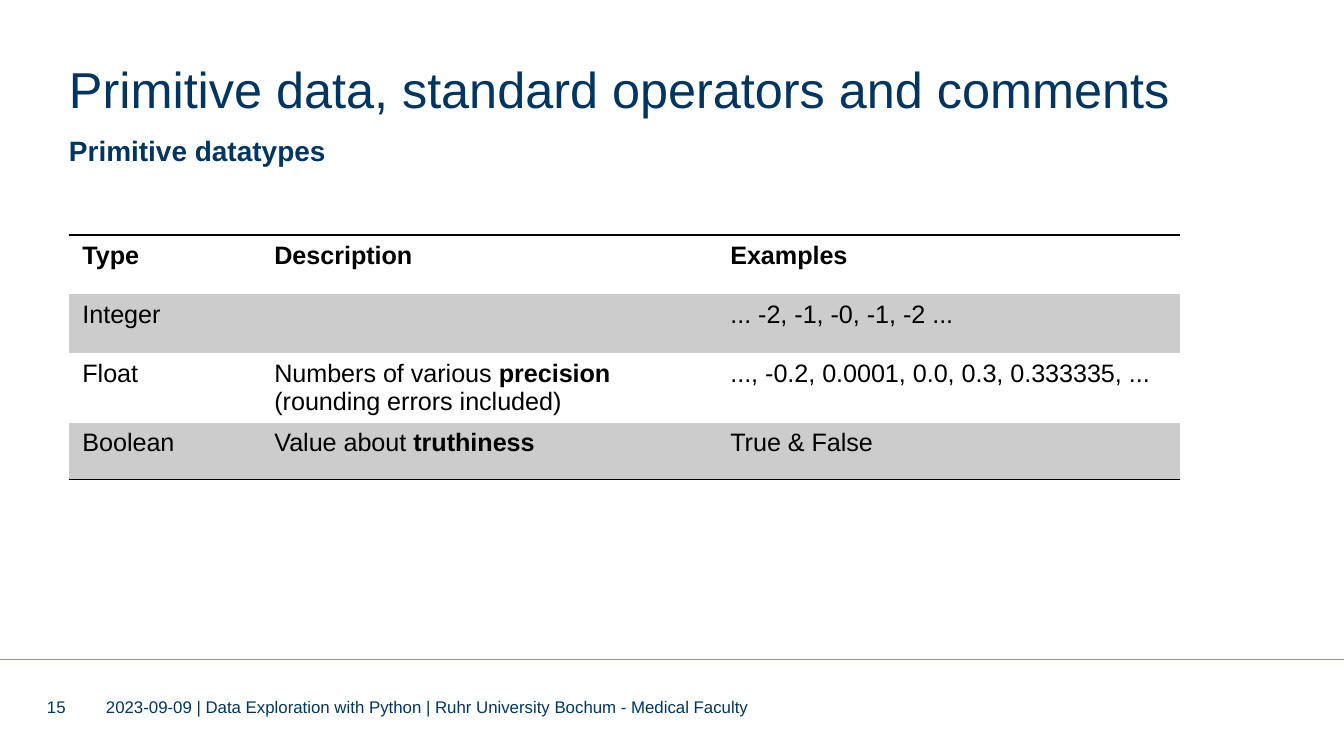
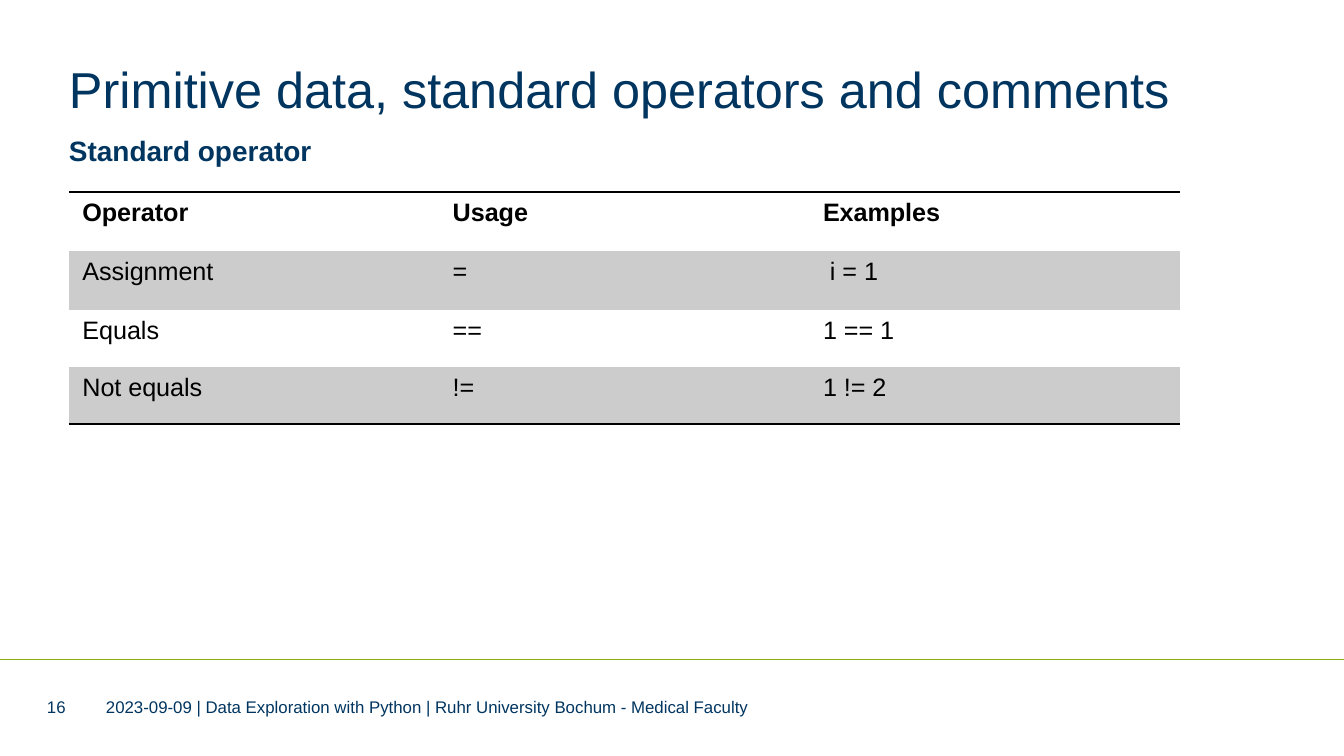
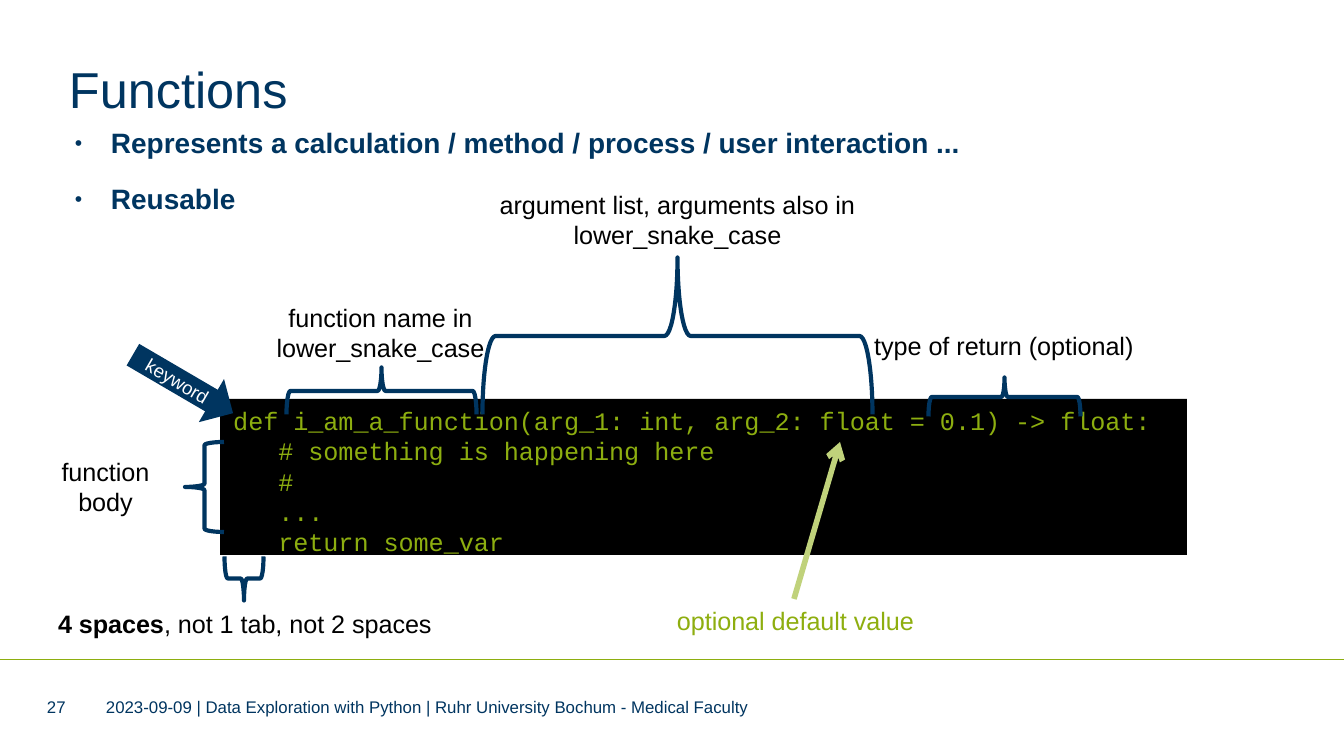
"""Build three lecture slides on Python data types, operators and functions."""
from lxml.etree import SubElement
from pptx import Presentation
from pptx.dml.color import RGBColor
from pptx.enum.shapes import MSO_CONNECTOR, MSO_SHAPE
from pptx.enum.text import MSO_ANCHOR, MSO_AUTO_SIZE, PP_ALIGN
from pptx.oxml.ns import qn
from pptx.util import Emu, Pt

NAVY = RGBColor(0x00, 0x35, 0x60)
GREEN = RGBColor(0x8D, 0xAE, 0x10)
PALE_GREEN = RGBColor(0xC0, 0xD2, 0x7B)
LABEL_GREEN = RGBColor(0x8E, 0xAE, 0x0F)
BLACK = RGBColor(0x00, 0x00, 0x00)
WHITE = RGBColor(0xFF, 0xFF, 0xFF)
GREY = RGBColor(0xCC, 0xCC, 0xCC)

EMU_PER_PX = 914400 / 134.4
LEFT, CONTENT_WIDTH = 69, 1111
ROW_HEIGHTS = (59, 59, 57, 57)
BULLET_INDENT = 36
NO_GRID_STYLE = "{2D5ABB26-0587-4C30-8999-92F81FD0307C}"
TOPIC = "Primitive data, standard operators and comments"
FOOTER = "2023-09-09 | Data Exploration with Python | Ruhr University Bochum - Medical Faculty"


def px(*lengths):
    return [Emu(round(length * EMU_PER_PX)) for length in lengths]


class SlideBuilder:
    def __init__(self):
        self.deck = Presentation()
        self.deck.slide_width, self.deck.slide_height = px(1344, 756)
        self.slide = None

    def add_text(self, frame, lines, size, colour, bold=False, align=PP_ALIGN.LEFT, font="Arial"):
        """Add one paragraph per line; text between ** marks is bold."""
        frame.word_wrap = True
        for index, line in enumerate(lines):
            para = frame.paragraphs[0] if index == 0 else frame.add_paragraph()
            para.alignment = align
            for position, text in enumerate(line.split("**")):
                if text:
                    span = para.add_run()
                    span.text = text
                    span.font.name = font
                    span.font.size = Pt(size)
                    span.font.bold = bold or position % 2 == 1
                    span.font.color.rgb = colour

    def remove_margins(self, frame, anchor):
        frame.margin_left = frame.margin_top = frame.margin_right = frame.margin_bottom = 0
        frame.vertical_anchor = anchor
        frame.auto_size = MSO_AUTO_SIZE.NONE

    def placeholder(self, holder, place, lines, size, bold=False):
        holder.left, holder.top, holder.width, holder.height = px(*place)
        self.remove_margins(holder.text_frame, MSO_ANCHOR.TOP)
        self.add_text(holder.text_frame, lines, size, NAVY, bold)
        return holder.text_frame.paragraphs

    def page(self, title, number):
        self.slide = self.deck.slides.add_slide(self.deck.slide_layouts[1])
        self.line((0, 660), (1344, 660), GREEN, 0.5)
        self.placeholder(self.slide.shapes.title, (LEFT, 58, CONTENT_WIDTH, 69), [title], 27)
        for left, width, text in ((106, 862, FOOTER), (47, 38, str(number))):
            box = self.slide.shapes.add_textbox(*px(left, 699, width, 16))
            self.remove_margins(box.text_frame, MSO_ANCHOR.MIDDLE)
            self.add_text(box.text_frame, [text], 9, NAVY)

    def body(self, left, top, lines, bulleted=False):
        place = (left, top, CONTENT_WIDTH, 495)
        indent = px(BULLET_INDENT)[0] if bulleted else 0
        for para in self.placeholder(self.slide.placeholders[1], place, lines, 15, bold=True):
            properties = para._p.get_or_add_pPr()
            properties.set("marL", str(indent))
            properties.set("indent", str(-indent))
            if bulleted:
                SubElement(properties, qn("a:buSzPct"), val="75000")
                SubElement(properties, qn("a:buChar"), char="•")
            else:
                SubElement(properties, qn("a:buNone"))
            para.line_spacing = Pt(18)
            para.space_before = Pt(0)
            para.space_after = Pt(12)

    def line(self, start, end, colour, width, arrow=False):
        line = self.slide.shapes.add_connector(MSO_CONNECTOR.STRAIGHT, *px(*start, *end))
        line.line.color.rgb = colour
        line.line.width = Pt(width)
        if arrow:
            SubElement(line.line._get_or_add_ln(), qn("a:tailEnd"), type="arrow")
        SubElement(line._element.spPr, qn("a:effectLst"))

    def shape(self, kind, place, fill=None, rotation=0):
        shape = self.slide.shapes.add_shape(kind, *px(*place))
        shape.rotation = rotation
        shape.shadow.inherit = False
        if fill is None:
            shape.fill.background()
            shape.line.color.rgb = NAVY
            shape.line.width = Pt(2.25)
        else:
            shape.fill.solid()
            shape.fill.fore_color.rgb = fill
            shape.line.fill.background()
        return shape

    def brace(self, place, rotation=0):
        self.shape(MSO_SHAPE.LEFT_BRACE, place, rotation=rotation)

    def label(self, place, text, colour=BLACK):
        box = self.slide.shapes.add_textbox(*px(*place))
        self.add_text(box.text_frame, [text], 13.5, colour, align=PP_ALIGN.CENTER)
        box.text_frame.auto_size = MSO_AUTO_SIZE.SHAPE_TO_FIT_TEXT

    def border(self, cell, side):
        edge = SubElement(cell._tc.get_or_add_tcPr(), qn(side), w=str(int(Pt(1))))
        SubElement(SubElement(edge, qn("a:solidFill")), qn("a:srgbClr"), val=str(BLACK))

    def table(self, top, height, widths, rows):
        place = px(LEFT, top, CONTENT_WIDTH, height)
        frame = self.slide.shapes.add_table(len(rows), len(widths), *place)
        table = frame.table
        table.first_row = table.horz_banding = False
        table._tbl.tblPr.find(qn("a:tableStyleId")).text = NO_GRID_STYLE
        for column, width in zip(table.columns, px(*widths)):
            column.width = width
        for row, row_height in zip(table.rows, px(*ROW_HEIGHTS)):
            row.height = row_height
        frame.height = place[3]
        for row_index, texts in enumerate(rows):
            for column_index, text in enumerate(texts):
                cell = table.cell(row_index, column_index)
                if row_index == 0:
                    self.border(cell, "a:lnT")
                if row_index == len(rows) - 1:
                    self.border(cell, "a:lnB")
                cell.fill.solid()
                cell.fill.fore_color.rgb = GREY if row_index % 2 else WHITE
                self.add_text(cell.text_frame, [text], 13.5, BLACK, bold=row_index == 0)


def datatypes_page(builder):
    builder.page(TOPIC, 15)
    builder.body(LEFT, 134, ["Primitive datatypes"])
    builder.table(235, 249, (192, 456, 463), (
        ("Type", "Description", "Examples"),
        ("Integer", "", "... -2, -1, -0, -1, -2 ..."),
        ("Float", "Numbers of various **precision **(rounding errors included)",
         "..., -0.2, 0.0001, 0.0, 0.3, 0.333335, ..."),
        ("Boolean", "Value about **truthiness**", "True & False"),
    ))


def operators_page(builder):
    builder.page(TOPIC, 16)
    builder.body(LEFT, 134, ["Standard operator"])
    builder.table(192, 232, [CONTENT_WIDTH / 3] * 3, (
        ("Operator", "Usage", "Examples"),
        ("Assignment", "=", " i = 1"),
        ("Equals", "==", "1 == 1"),
        ("Not equals", "!=", "1 != 2"),
    ))


def functions_page(builder):
    builder.page("Functions", 27)
    builder.body(75, 126, [
        "Represents a calculation / method / process / user interaction ...",
        "Reusable",
    ], bulleted=True)

    code = builder.shape(MSO_SHAPE.RECTANGLE, (220, 399, 967, 156), BLACK)
    code.text_frame.vertical_anchor = MSO_ANCHOR.TOP
    builder.add_text(code.text_frame, [
        "def i_am_a_function(arg_1: int, arg_2: float = 0.1) -> float:",
        "   # something is happening here",
        "   #",
        "   ...",
        "   return some_var",
    ], 13.5, GREEN, font="Courier New")

    keyword = builder.shape(MSO_SHAPE.RIGHT_ARROW, (125, 359, 116, 50), NAVY, 30.3)
    builder.add_text(keyword.text_frame, ["keyword"], 10, WHITE, align=PP_ALIGN.CENTER)

    builder.brace((358, 296, 47, 190), 90)
    builder.label((224, 296, 313, 74), "function name in lower_snake_case")
    builder.brace((599, 141, 157, 390), 90)
    builder.label((421, 183, 513, 74), "argument list, arguments also in lower_snake_case")
    builder.label((847, 324, 314, 44), "type of return (optional)")
    builder.brace((985, 321, 39, 152), 90)
    builder.brace((185, 442, 39, 90))
    builder.label((31, 450, 149, 74), "function body")
    builder.line((794, 599), (840, 442), PALE_GREEN, 3, arrow=True)
    builder.label((538, 599, 515, 44), "optional default value", LABEL_GREEN)
    builder.brace((222, 559, 44, 39), 270)
    builder.label((38, 602, 414, 44), "**4 spaces**, not 1 tab, not 2 spaces")


def main():
    builder = SlideBuilder()
    datatypes_page(builder)
    operators_page(builder)
    functions_page(builder)
    builder.deck.save("out.pptx")


if __name__ == "__main__":
    main()
